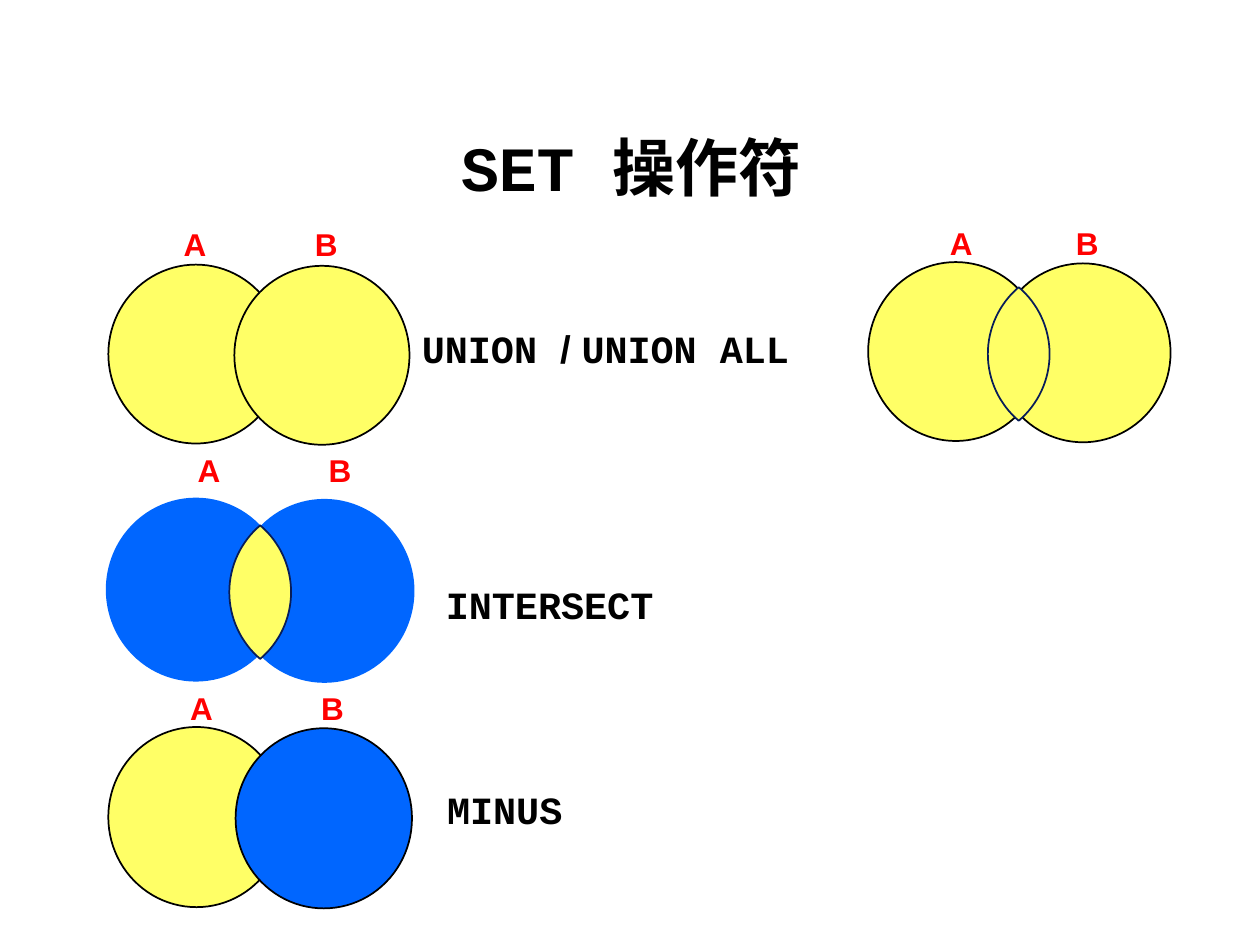
from math import asin, cos, sin

from pptx import Presentation
from pptx.dml.color import RGBColor
from pptx.enum.shapes import MSO_SHAPE
from pptx.enum.text import MSO_ANCHOR, MSO_AUTO_SIZE, PP_ALIGN
from pptx.util import Inches, Pt

BLACK = RGBColor(0x00, 0x00, 0x00)
RED = RGBColor(0xFF, 0x00, 0x00)
YELLOW = RGBColor(0xFF, 0xFF, 0x66)
BLUE = RGBColor(0x00, 0x66, 0xFF)
NAVY = RGBColor(0x08, 0x1D, 0x58)

MONO = "Courier New"
SANS = "Arial"
LENS_WIDTH, LENS_HEIGHT = 0.49, 1.06
ARC_STEPS = 32


def add_spans(para, spans, size, color):
    """Add bold runs, given as (text, font name) pairs, to a paragraph."""
    for text, name in spans:
        span = para.add_run()
        span.text = text
        formats = {"name": name, "size": Pt(size), "bold": True}
        for attribute, value in formats.items():
            setattr(span.font, attribute, value)
        span.font.color.rgb = color


def add_title(page, left, top, width, height):
    """Place the slide title in its placeholder."""
    title = page.shapes.title
    frame = {"left": left, "top": top, "width": width, "height": height}
    for attribute, value in frame.items():
        setattr(title, attribute, Inches(value))
    title.text_frame.auto_size = MSO_AUTO_SIZE.NONE
    title.text_frame.vertical_anchor = MSO_ANCHOR.TOP
    para = title.text_frame.paragraphs[0]
    para.alignment = PP_ALIGN.CENTER
    add_spans(para, [(" SET ", MONO), ("操作符", "Calibri")], 36, BLACK)


def add_label(shapes, left, top, width, height, spans, size, color, wrap=False):
    """Add a text box that grows with its text."""
    box = shapes.add_textbox(*map(Inches, (left, top, width, height)))
    box.text_frame.word_wrap = wrap
    box.text_frame.auto_size = MSO_AUTO_SIZE.SHAPE_TO_FIT_TEXT
    add_spans(box.text_frame.paragraphs[0], spans, size, color)


def add_set_names(shapes, left, top, gap):
    """Name the two sets above their circles."""
    for index, name in enumerate("AB"):
        add_label(shapes, left + index * gap, top, 0.38, 0.4,
                  [(name, SANS)], 18, RED)


def paint(shape, fill, line):
    """Set fill and outline and remove the shadow."""
    shape.shadow.inherit = False
    shape.fill.solid()
    shape.fill.fore_color.rgb = fill
    if line is None:
        shape.line.fill.background()
    else:
        shape.line.color.rgb = line
        shape.line.width = Pt(1)


def add_circles(shapes, left, top, width, height, gap, fills, line=BLACK):
    """Draw two overlapping circles, the second slightly lower."""
    for index, fill in enumerate(fills):
        circle = shapes.add_shape(
            MSO_SHAPE.OVAL, Inches(left + index * gap),
            Inches(top + index * 0.01), Inches(width), Inches(height))
        paint(circle, fill, line)


def add_lens(shapes, left, top):
    """Draw the overlap of two circles as a pair of mirrored arcs."""
    half_width, half_height = LENS_WIDTH / 2, LENS_HEIGHT / 2
    radius = (half_width ** 2 + half_height ** 2) / LENS_WIDTH
    limit = asin(half_height / radius)
    center_x, center_y = left + half_width, top + half_height
    points = []
    for side in (1, -1):
        for step in range(ARC_STEPS):
            angle = limit * (2 * step / ARC_STEPS - 1)
            x = center_x + side * (radius * cos(angle) - radius + half_width)
            y = center_y + side * radius * sin(angle)
            points.append((Inches(x), Inches(y)))
    builder = shapes.build_freeform(*points[0])
    builder.add_line_segments(points[1:], close=True)
    paint(builder.convert_to_shape(), YELLOW, NAVY)


def add_union(shapes, left, top):
    """Show UNION, and UNION ALL with the overlap counted again."""
    add_set_names(shapes, left + 0.5, top, 1.04)
    add_label(shapes, left + 2.39, top + 0.79, 3.7, 0.47,
              [("UNION ", MONO), ("/ ", SANS), ("UNION ALL", MONO)],
              22, BLACK, wrap=True)
    add_circles(shapes, left, top + 0.36, 1.39, 1.42, 1, (YELLOW, YELLOW))
    add_circles(shapes, left + 6.03, top + 0.34, 1.39, 1.42, 1.01,
                (YELLOW, YELLOW))
    add_lens(shapes, left + 6.98, top + 0.54)
    add_set_names(shapes, left + 6.58, top - 0.01, 1)


def add_intersect(shapes, left, top):
    """Show INTERSECT with only the overlap highlighted."""
    add_set_names(shapes, left + 0.63, top, 1.04)
    add_label(shapes, left + 2.6, top + 1.03, 1.85, 0.47,
              [("INTERSECT", MONO)], 22, BLACK)
    add_circles(shapes, left, top + 0.42, 1.43, 1.46, 1.02,
                (BLUE, BLUE), line=None)
    add_lens(shapes, left + 0.98, top + 0.64)


def add_minus(shapes, left, top):
    """Show MINUS with the second set taken away."""
    add_set_names(shapes, left + 0.55, top, 1.04)
    add_label(shapes, left + 2.59, top + 0.77, 1.12, 0.47,
              [("MINUS", MONO)], 22, BLACK)
    add_circles(shapes, left, top + 0.35, 1.4, 1.43, 1.01, (YELLOW, BLUE))


def main():
    """Build the set operator slide."""
    deck = Presentation()
    deck.slide_width, deck.slide_height = Inches(10), Inches(7.5)
    page = deck.slides.add_slide(deck.slide_layouts[5])
    add_title(page, 1.82, 0.97, 6.08, 0.97)
    add_union(page.shapes, 0.86, 1.74)
    add_intersect(page.shapes.add_group_shape().shapes, 0.84, 3.53)
    add_minus(page.shapes, 0.86, 5.42)
    deck.save("out.pptx")


if __name__ == "__main__":
    main()
